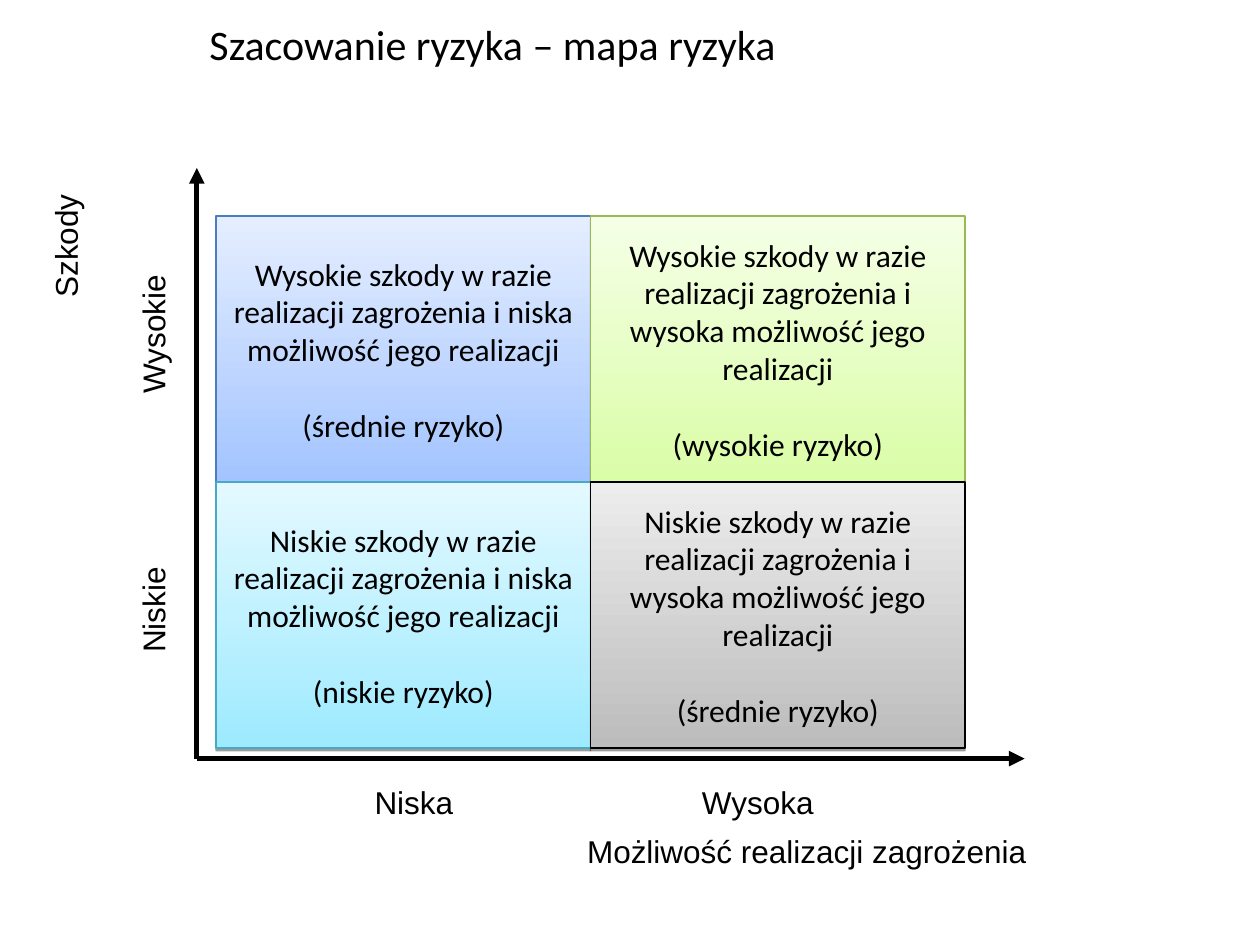
import dataclasses

import lxml.etree
import pptx
import pptx.dml.color
import pptx.enum.shapes
import pptx.enum.text
import pptx.oxml.ns
import pptx.util

Pt = pptx.util.Pt
ALIGN = pptx.enum.text.PP_ALIGN
ANCHOR = pptx.enum.text.MSO_ANCHOR


@dataclasses.dataclass(frozen=True)
class Theme:
    ink: str = "000000"
    heading_font: str = "Calibri"
    label_font: str = "Arial"
    title_size: float = 24
    text_size: float = 18
    axis_width: float = 3
    cell_line_width: float = 0.75
    # Each palette: gradient bottom, gradient top, outline
    blue: tuple = ("A3C4FF", "E5EEFF", "4A7EBB")
    aqua: tuple = ("9EEAFF", "E4F9FF", "46AAC5")
    green: tuple = ("DAFDA7", "F5FFE6", "98B954")
    grey: tuple = ("BCBCBC", "EDEDED", "000000")


THEME = Theme()

# Columns from left to right, each from top to bottom
RISK_COLUMNS = [
    [
        ("Wysokie szkody w razie realizacji zagrożenia i niska możliwość jego realizacji",
         "(średnie ryzyko)", THEME.blue),
        ("Niskie szkody w razie realizacji zagrożenia i niska możliwość jego realizacji",
         "(niskie ryzyko)", THEME.aqua),
    ],
    [
        ("Wysokie szkody w razie realizacji zagrożenia i wysoka możliwość jego realizacji",
         "(wysokie ryzyko)", THEME.green),
        ("Niskie szkody w razie realizacji zagrożenia i wysoka możliwość jego realizacji",
         "(średnie ryzyko)", THEME.grey),
    ],
]


def rgb(value):
    return pptx.dml.color.RGBColor.from_string(value)


def add_xml(parent, tag, **attributes):
    element = lxml.etree.SubElement(parent, pptx.oxml.ns.qn(tag))
    for name, value in attributes.items():
        element.set(name, str(value))
    return element


def write_text(shape, *lines, font=THEME.label_font, size=THEME.text_size,
               align=ALIGN.CENTER, anchor=ANCHOR.TOP, gap=0):
    """Fill a shape with one paragraph per line, with gap points between them."""
    frame = shape.text_frame
    frame.word_wrap = True
    frame.auto_size = pptx.enum.text.MSO_AUTO_SIZE.NONE
    frame.vertical_anchor = anchor
    for index, line in enumerate(lines):
        paragraph = frame.add_paragraph() if index else frame.paragraphs[0]
        paragraph.alignment = align
        paragraph.space_before = Pt(gap if index else 0)
        run = paragraph.add_run()
        run.text = line
        run.font.name = font
        run.font.size = Pt(size)
        run.font.color.rgb = rgb(THEME.ink)


def place_title(slide, left, top, width, height):
    title = slide.shapes.title
    title.left, title.top, title.width, title.height = map(Pt, (left, top, width, height))
    write_text(title, "Szacowanie ryzyka – mapa ryzyka", font=THEME.heading_font,
               size=THEME.title_size, align=ALIGN.LEFT, anchor=ANCHOR.MIDDLE)


def add_arrow(slide, start, end):
    arrow = slide.shapes.add_connector(
        pptx.enum.shapes.MSO_CONNECTOR.STRAIGHT, *map(Pt, (*start, *end)))
    arrow.line.color.rgb = rgb(THEME.ink)
    arrow.line.width = Pt(THEME.axis_width)
    properties = arrow._element.spPr
    add_xml(properties.find(pptx.oxml.ns.qn("a:ln")), "a:tailEnd", type="triangle")
    add_xml(properties, "a:effectLst")


def add_axes(slide, left, top, width, height):
    origin = (left, top + height)
    add_arrow(slide, origin, (left, top))
    add_arrow(slide, origin, (left + width, top + height))


def add_cell_shadow(cell):
    cell.shadow.inherit = False
    effects = cell._element.spPr.find(pptx.oxml.ns.qn("a:effectLst"))
    shadow = add_xml(effects, "a:outerShdw", blurRad=0, dist=int(Pt(1.6)),
                     dir=5400000, rotWithShape=0)
    add_xml(add_xml(shadow, "a:srgbClr", val="000000"), "a:alpha", val=38000)


def add_risk_cell(slide, left, top, width, height, description, level, palette):
    bottom_color, top_color, outline = palette
    cell = slide.shapes.add_shape(pptx.enum.shapes.MSO_SHAPE.RECTANGLE,
                                  *map(Pt, (left, top, width, height)))
    cell.fill.gradient()
    cell.fill.gradient_angle = 90
    for stop, color in zip(cell.fill.gradient_stops, (bottom_color, top_color)):
        stop.color.rgb = rgb(color)
    cell.line.color.rgb = rgb(outline)
    cell.line.width = Pt(THEME.cell_line_width)
    add_cell_shadow(cell)
    write_text(cell, description, level, font=THEME.heading_font,
               anchor=ANCHOR.MIDDLE, gap=21.6)


def add_risk_matrix(slide, left, top, width, height):
    cell_width = width / len(RISK_COLUMNS)
    for column_index, column in enumerate(RISK_COLUMNS):
        cell_height = height / len(column)
        for row_index, content in enumerate(column):
            add_risk_cell(slide, left + column_index * cell_width,
                          top + row_index * cell_height,
                          cell_width, cell_height, *content)


def add_label(slide, text, center_x, center_y, width=90, rotation=0):
    height = 29
    label = slide.shapes.add_textbox(
        *map(Pt, (center_x - width / 2, center_y - height / 2, width, height)))
    label.rotation = rotation
    write_text(label, text)


def add_likelihood_labels(slide, left, top):
    add_label(slide, "Niska", left + 45, top + 14.5)
    add_label(slide, "Wysoka", left + 241.5, top + 14.5)
    add_label(slide, "Możliwość realizacji zagrożenia", left + 269.5, top + 42.5, width=281)


def add_damage_labels(slide, left, top):
    add_label(slide, "Szkody", left + 14.5, top + 50.5, width=101, rotation=270)
    add_label(slide, "Niskie", left + 64.5, top + 258.5, rotation=270)
    add_label(slide, "Wysokie", left + 64.5, top + 101, rotation=270)


def main():
    presentation = pptx.Presentation()
    presentation.slide_width, presentation.slide_height = Pt(720), Pt(540)
    slide = presentation.slides.add_slide(presentation.slide_layouts.get_by_name("Title Only"))
    place_title(slide, 112.5, 0, 569.5, 50)
    add_axes(slide, 112.5, 96, 473, 337.5)
    add_risk_matrix(slide, 123.5, 123.5, 428, 304)
    add_likelihood_labels(slide, 191.5, 444)
    add_damage_labels(slide, 23, 90)
    presentation.save("out.pptx")


if __name__ == "__main__":
    main()
